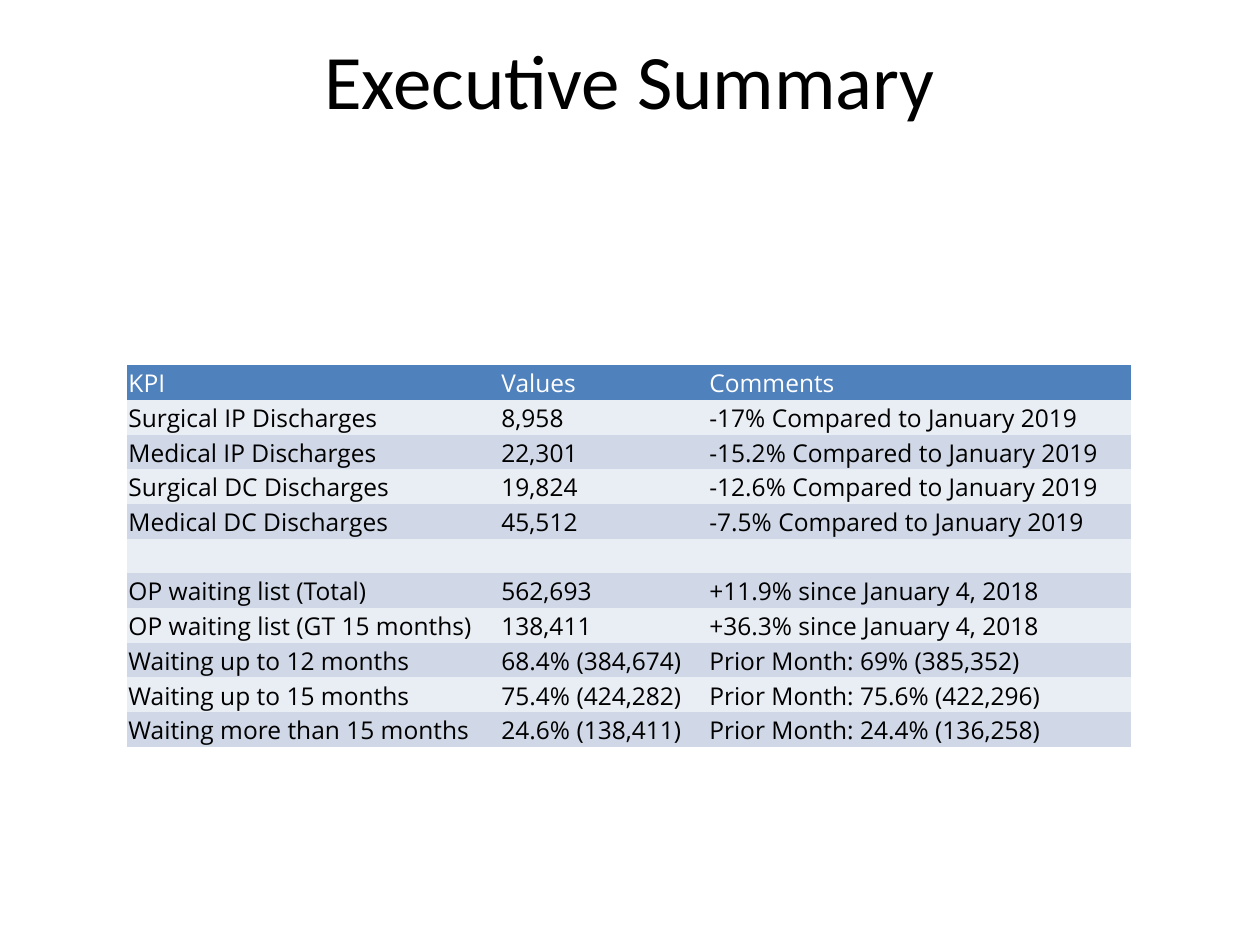
from lxml.etree import SubElement
from pptx import Presentation
from pptx.dml.color import RGBColor
from pptx.enum.text import MSO_ANCHOR, PP_ALIGN
from pptx.oxml.ns import qn
from pptx.util import Inches, Pt

LEFT, MID = PP_ALIGN.LEFT, PP_ALIGN.CENTER
CENTER, BOTTOM = MSO_ANCHOR.MIDDLE, MSO_ANCHOR.BOTTOM
BLACK = RGBColor(0x00, 0x00, 0x00)
WHITE = RGBColor(0xFF, 0xFF, 0xFF)
BLUE = RGBColor(0x4F, 0x81, 0xBD)
BANDS = [RGBColor(0xD0, 0xD8, 0xE7), RGBColor(0xE9, 0xED, 0xF4)]
NO_STYLE = "{2D5ABB26-0587-4C30-8999-92F81FD0307C}"

TITLE = "Executive Summary"
ROWS = [
    ("KPI", "Values", "Comments"),
    ("Surgical IP Discharges", "8,958", "-17% Compared to January 2019"),
    ("Medical IP Discharges", "22,301", "-15.2% Compared to January 2019"),
    ("Surgical DC Discharges", "19,824", "-12.6% Compared to January 2019"),
    ("Medical DC Discharges", "45,512", "-7.5% Compared to January 2019"),
    ("", "", ""),
    ("OP waiting list (Total)", "562,693", "+11.9% since January 4, 2018"),
    ("OP waiting list (GT 15 months)", "138,411", "+36.3% since January 4, 2018"),
    ("Waiting up to 12 months", "68.4% (384,674)", "Prior Month: 69% (385,352)"),
    ("Waiting up to 15 months", "75.4% (424,282)", "Prior Month: 75.6% (422,296)"),
    ("Waiting more than 15 months", "24.6% (138,411)", "Prior Month: 24.4% (136,258)"),
]
WIDTHS = [2.96, 1.65, 3.36]
ROW_H = 0.24


def put(frame, text, size=14, face="Open Sans", color=BLACK, align=LEFT):
    para = frame.paragraphs[0]
    para.alignment = align
    if not text:
        end = SubElement(para._p, qn("a:endParaRPr"), sz=str(size * 100))
        SubElement(end, qn("a:latin"), typeface=face)
        return
    run = para.add_run()
    run.text = text
    run.font.size = Pt(size)
    run.font.name = face
    run.font.color.rgb = color


def add_grid(slide):
    shape = slide.shapes.add_table(
        len(ROWS), len(WIDTHS), Inches(1.01), Inches(2.9),
        Inches(sum(WIDTHS)), Inches(ROW_H * len(ROWS)))
    table = shape.table
    table._tbl.tblPr.find(qn("a:tableStyleId")).text = NO_STYLE
    for col, width in zip(table.columns, WIDTHS):
        col.width = Inches(width)
    for i, (row, texts) in enumerate(zip(table.rows, ROWS)):
        row.height = Inches(ROW_H)
        for cell, text in zip(row.cells, texts):
            cell.margin_left = cell.margin_right = cell.margin_top = Inches(0.01)
            cell.margin_bottom = 0
            cell.vertical_anchor = BOTTOM
            cell.fill.solid()
            cell.fill.fore_color.rgb = BANDS[i % 2] if i else BLUE
            put(cell.text_frame, text, color=BLACK if i else WHITE)


def main():
    deck = Presentation()
    deck.slide_width, deck.slide_height = Inches(10), Inches(7.5)
    slide = deck.slides.add_slide(deck.slide_layouts[5])
    title = slide.shapes.title
    title.left, title.top = Inches(0), Inches(0)
    title.width, title.height = Inches(10), Inches(1.25)
    title.text_frame.vertical_anchor = CENTER
    put(title.text_frame, TITLE, size=44, face="Calibri", align=MID)
    add_grid(slide)
    deck.save("out.pptx")


if __name__ == "__main__":
    main()
